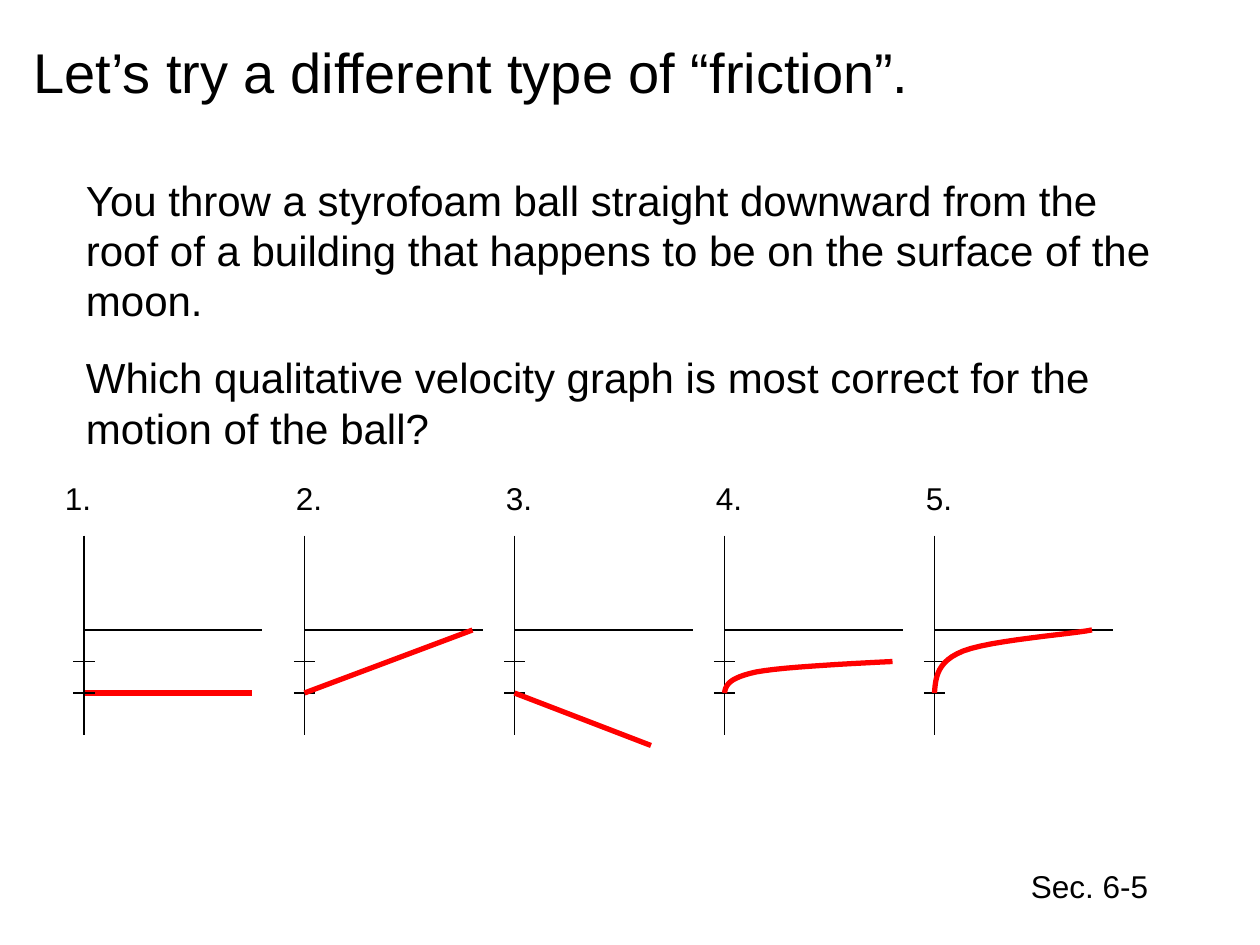
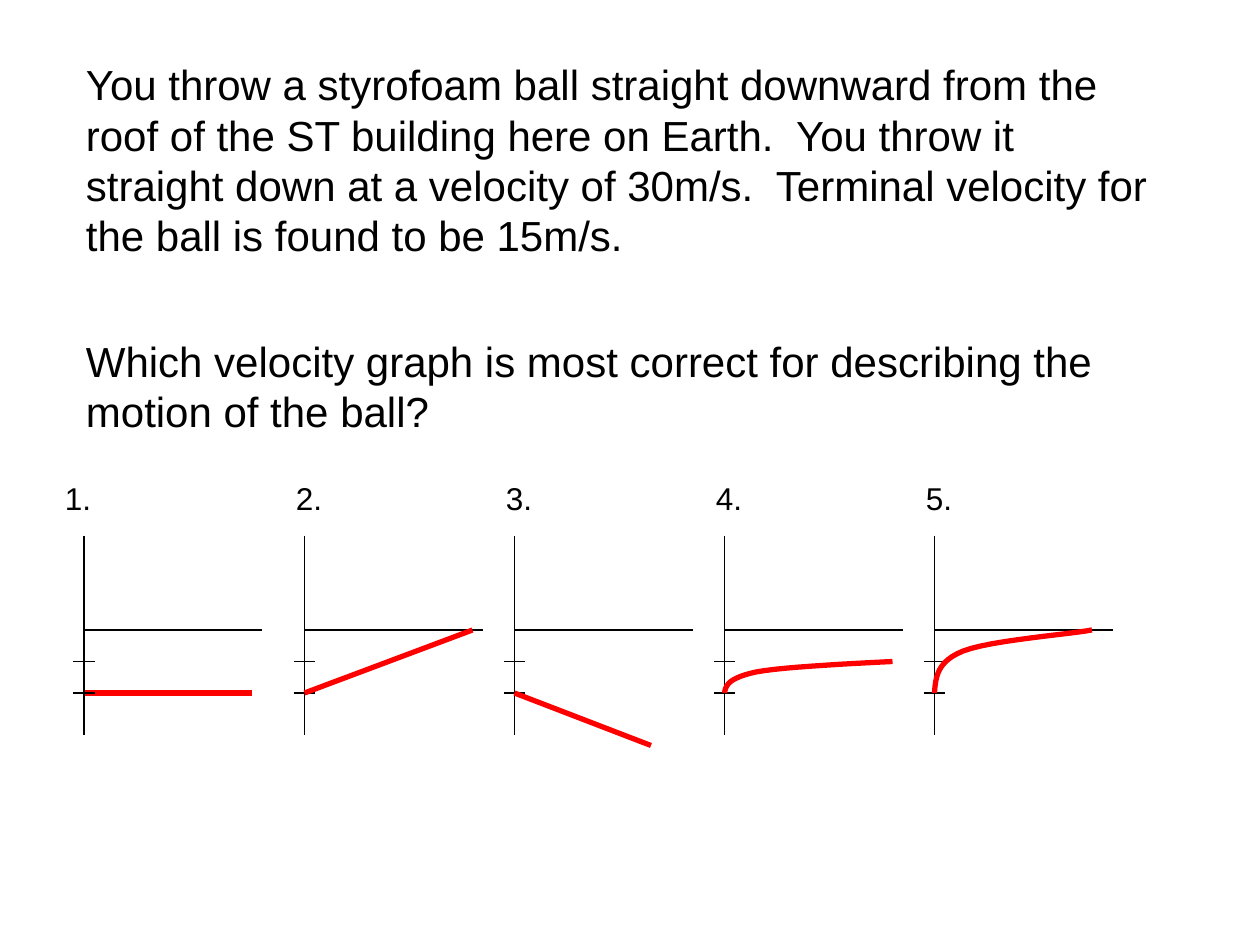
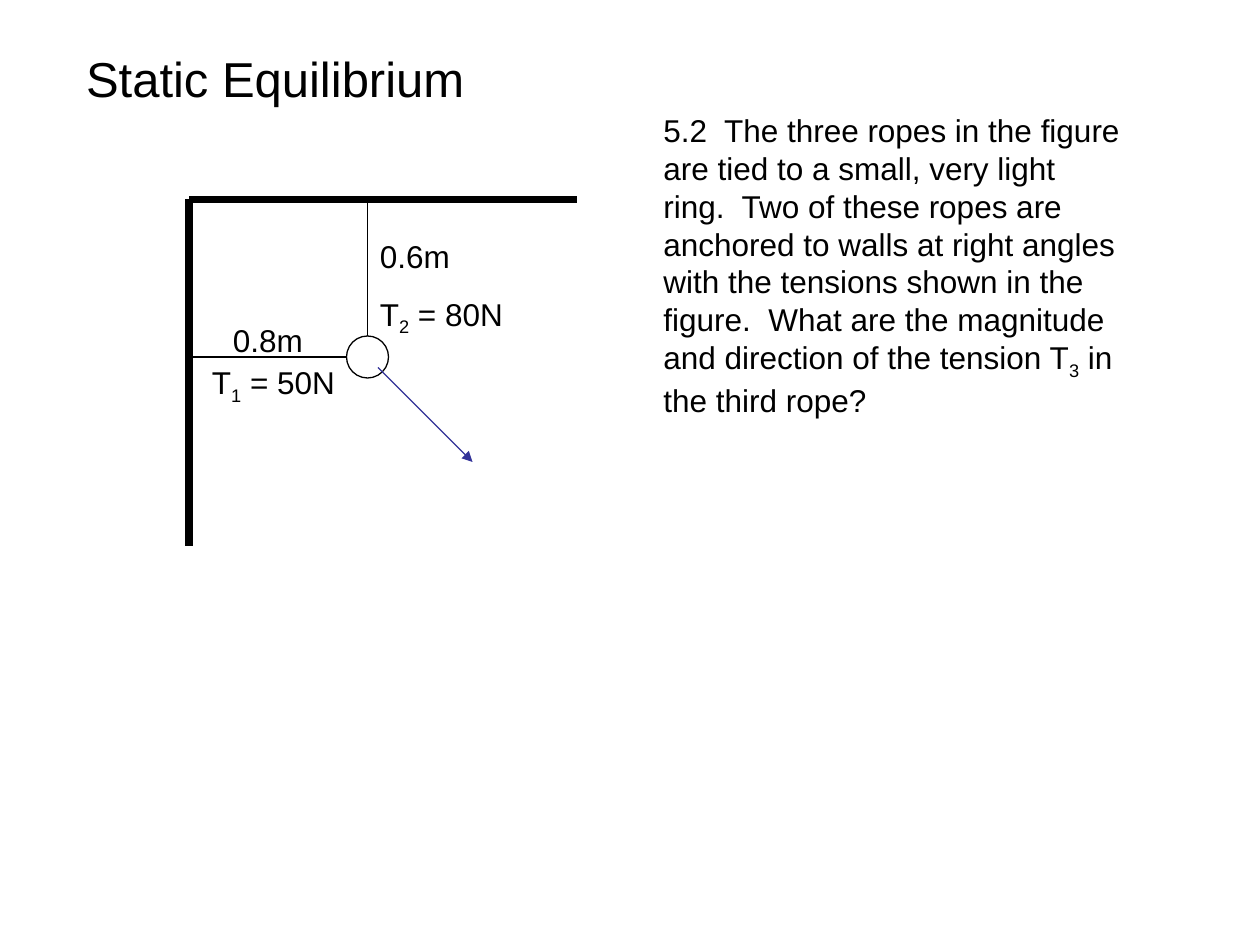
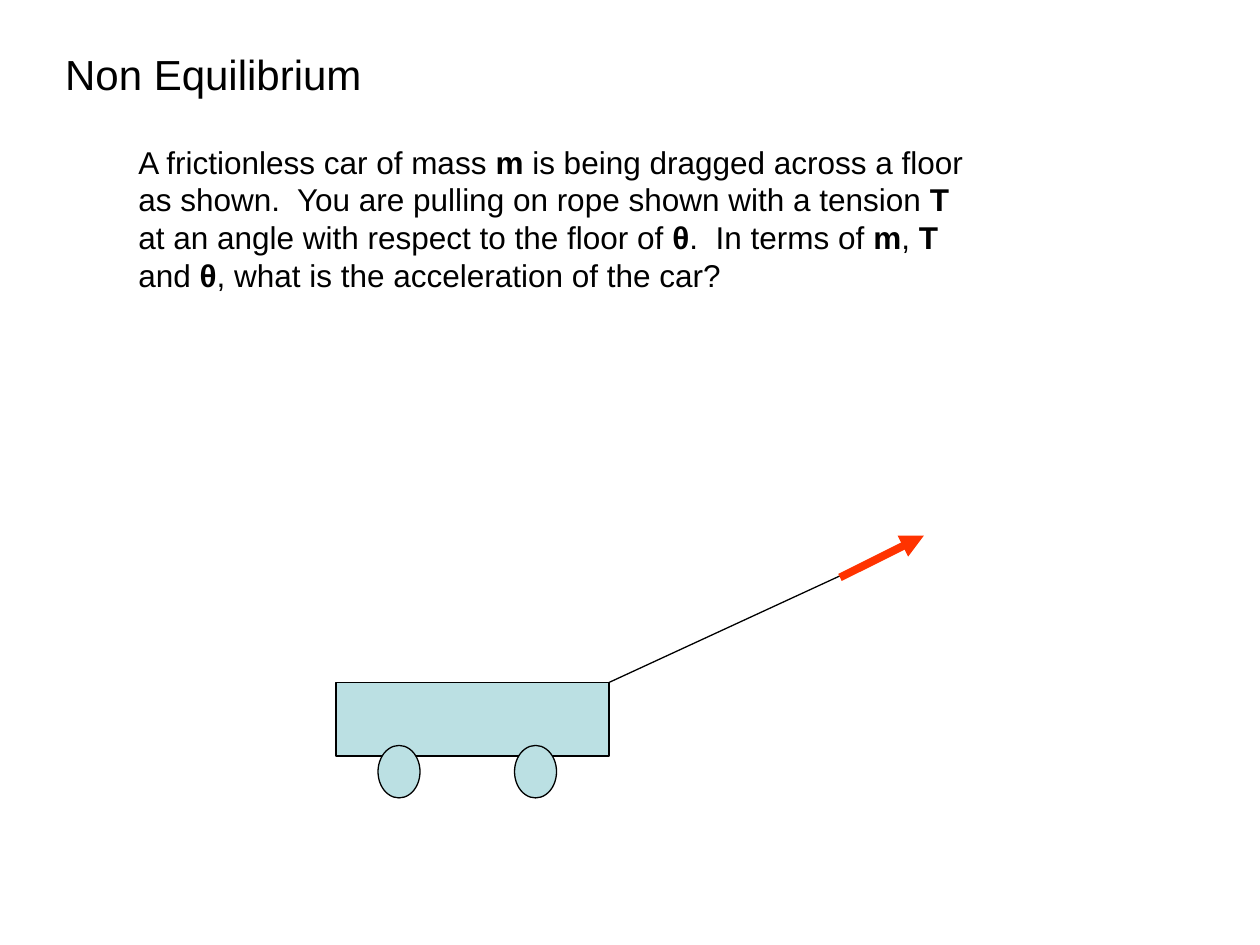
"""Build four physics slides: velocity graphs, static equilibrium and a dragged car."""
import pptx
import pptx.dml.color
import pptx.enum.shapes
import pptx.enum.text
import pptx.oxml.ns
import pptx.oxml.xmlchemy
import pptx.util

Pt = pptx.util.Pt
RGB = pptx.dml.color.RGBColor
SHAPE = pptx.enum.shapes.MSO_SHAPE
BLACK = RGB(0x00, 0x00, 0x00)
RED = RGB(0xFF, 0x00, 0x00)
ORANGE = RGB(0xFF, 0x33, 0x00)
BLUE = RGB(0x33, 0x33, 0x99)
TEAL = RGB(0xBB, 0xE0, 0xE3)
FONT = "Arial"
THIN, WALL, TREND = 0.75, 4.5, 3


def write(box, area, size, texts, gap=0, mark="bold"):
    """Place a box and fill it; parts between bars are bold or subscript."""
    box.left, box.top, box.width, box.height = map(Pt, area)
    frame = box.text_frame
    frame.word_wrap = True
    frame.auto_size = pptx.enum.text.MSO_AUTO_SIZE.SHAPE_TO_FIT_TEXT
    frame.vertical_anchor = pptx.enum.text.MSO_ANCHOR.TOP
    for n, text in enumerate(texts):
        para = frame.add_paragraph() if n else frame.paragraphs[0]
        para.alignment = pptx.enum.text.PP_ALIGN.LEFT
        para.space_before = Pt(gap if n else 0)
        para.font.name, para.font.size = FONT, Pt(size)
        para.font.color.rgb = BLACK
        for k, part in enumerate(text.split("|")):
            run = para.add_run()
            run.text = part
            if k % 2 and mark == "bold":
                run.font.bold = True
            elif k % 2:
                run._r.get_or_add_rPr().set("baseline", "-25000")


def draw(shapes, start, end, color=BLACK, width=THIN, arrow=False):
    """Draw a straight line, with an arrowhead at its end if asked."""
    line = shapes.add_connector(
        pptx.enum.shapes.MSO_CONNECTOR.STRAIGHT, *map(Pt, (*start, *end)))
    line.line.color.rgb, line.line.width = color, Pt(width)
    if arrow:
        head = pptx.oxml.xmlchemy.OxmlElement("a:tailEnd")
        head.set("type", "triangle")
        line.line._get_or_add_ln().append(head)
    prop = line._element.find(pptx.oxml.ns.qn("p:spPr"))
    prop.append(pptx.oxml.xmlchemy.OxmlElement("a:effectLst"))


deck = pptx.Presentation()
deck.slide_width, deck.slide_height = Pt(720), Pt(540)
titled, blank = deck.slide_layouts[5], deck.slide_layouts[6]

moon = deck.slides.add_slide(titled)
write(moon.shapes.title, (12, 18, 606, 46), 32,
      ["Let’s try a different type of “friction”."])
write(moon.shapes.add_textbox(0, 0, 0, 0), (42, 96, 630, 166), 24, [
    "You throw a styrofoam ball straight downward from the roof of a building "
    "that happens to be on the surface of the moon.",
    "Which qualitative velocity graph is most correct for the motion of the ball?",
], gap=15)
write(moon.shapes.add_textbox(0, 0, 0, 0), (582, 492, 120, 29), 18, ["Sec. 6-5"])

earth = deck.slides.add_slide(blank)
write(earth.shapes.add_textbox(0, 0, 0, 0), (42, 30, 630, 224), 24, [
    "You throw a styrofoam ball straight downward from the roof of the ST "
    "building here on Earth.  You throw it straight down at a velocity of "
    "30m/s.  Terminal velocity for the ball is found to be 15m/s.",
    "Which velocity graph is most correct for describing the motion of the ball?",
], gap=43)

axes = [48, 174, 294, 414, 534]
tags = [30, 162, 282, 402, 522]
zero, half, full = 360, 378, 396
slopes = [(174, 96, -36), (294, 78, 30)]
curves = [
    (414, [(0, 0), (0.7, -4.3), (2.2, -8.6), (18, -12)],
     [(18, -12), (33.8, -15.1), (82.8, -17.3), (96, -18)]),
    (534, [(0, 0), (0.7, -9), (1.4, -18), (16.5, -24)],
     [(16.5, -24), (31.7, -30), (78, -33.6), (90, -36)]),
]
steps = 12
for slide in (moon, earth):
    shapes = slide.shapes
    draw(shapes, (axes[0], full), (axes[0] + 96, full), RED, TREND)
    for x in axes:
        graph = shapes.add_group_shape().shapes
        draw(graph, (x, 306), (x, 420))
        draw(graph, (x, zero), (x + 102, zero))
        for y in (full, half):
            draw(graph, (x - 6, y), (x + 6, y))
    for x, run, rise in slopes:
        draw(shapes, (x, full), (x + run, full + rise), RED, TREND)
    for x, *arcs in curves:
        dots = []
        for arc in arcs:
            for n in range(1, steps + 1):
                t = n / steps
                blend = ((1 - t) ** 3, 3 * t * (1 - t) ** 2,
                         3 * t ** 2 * (1 - t), t ** 3)
                dx, dy = (sum(b * p[i] for b, p in zip(blend, arc)) for i in (0, 1))
                dots.append((Pt(x + dx), Pt(full + dy)))
        path = shapes.build_freeform(Pt(x), Pt(full))
        path.add_line_segments(dots, close=False)
        curve = path.convert_to_shape()
        curve.shadow.inherit = False
        curve.fill.background()
        curve.line.color.rgb, curve.line.width = RED, Pt(TREND)
    for n, x in enumerate(tags, 1):
        write(shapes.add_textbox(0, 0, 0, 0), (x, 270, 48, 29), 18, [f"{n}."])

static = deck.slides.add_slide(titled)
shapes = static.shapes
write(shapes.title, (42, 24, 288, 41), 28, ["Static Equilibrium"])
walls = shapes.add_group_shape().shapes
draw(walls, (108, 312), (108, 114), width=WALL)
draw(walls, (108, 114), (330, 114), width=WALL)
draw(shapes, (108, 204), (198, 204))
ring = shapes.add_shape(SHAPE.OVAL, Pt(198), Pt(192), Pt(24), Pt(24))
ring.shadow.inherit = False
ring.fill.background()
ring.line.color.rgb, ring.line.width = BLACK, Pt(THIN)
draw(shapes, (210, 114), (210, 192))
draw(shapes, (216, 210), (270, 264), BLUE, arrow=True)
notes = [
    ((372, 60, 276, 183), [
        "5.2  The three ropes in the figure are tied to a small, very light ring.  "
        "Two of these ropes are anchored to walls at right angles with the "
        "tensions shown in the figure.  What are the magnitude and direction of "
        "the tension T|3| in the third rope?"]),
    ((114, 204, 90, 32), ["T|1| = 50N"]),
    ((126, 180, 72, 29), ["0.8m"]),
    ((210, 132, 150, 65), ["0.6m", "T|2| = 80N"]),
]
for area, texts in notes:
    write(shapes.add_textbox(0, 0, 0, 0), area, 18, texts, gap=11.2, mark="sub")

drag = deck.slides.add_slide(titled)
shapes = drag.shapes
write(shapes.title, (30, 24, 210, 36), 24, ["Non Equilibrium"])
write(shapes.add_textbox(0, 0, 0, 0), (72, 78, 486, 94), 18, [
    "A frictionless car of mass |m| is being dragged across a floor as shown.  "
    "You are pulling on rope shown with a tension |T |at an angle with respect "
    "to the floor of |θ|.  In terms of |m|, |T| and |θ|, what is the "
    "acceleration of the car?"])
parts = [
    (SHAPE.RECTANGLE, 192, 390, 156, 42),
    (SHAPE.OVAL, 216, 426, 24, 30),
    (SHAPE.OVAL, 294, 426, 24, 30),
]
for kind, *area in parts:
    part = shapes.add_shape(kind, *map(Pt, area))
    part.shadow.inherit = False
    part.fill.solid()
    part.fill.fore_color.rgb = TEAL
    part.line.color.rgb, part.line.width = BLACK, Pt(THIN)
draw(shapes, (348, 390), (504, 318))
draw(shapes, (480, 330), (528, 306), ORANGE, WALL, arrow=True)

deck.save("out.pptx")
